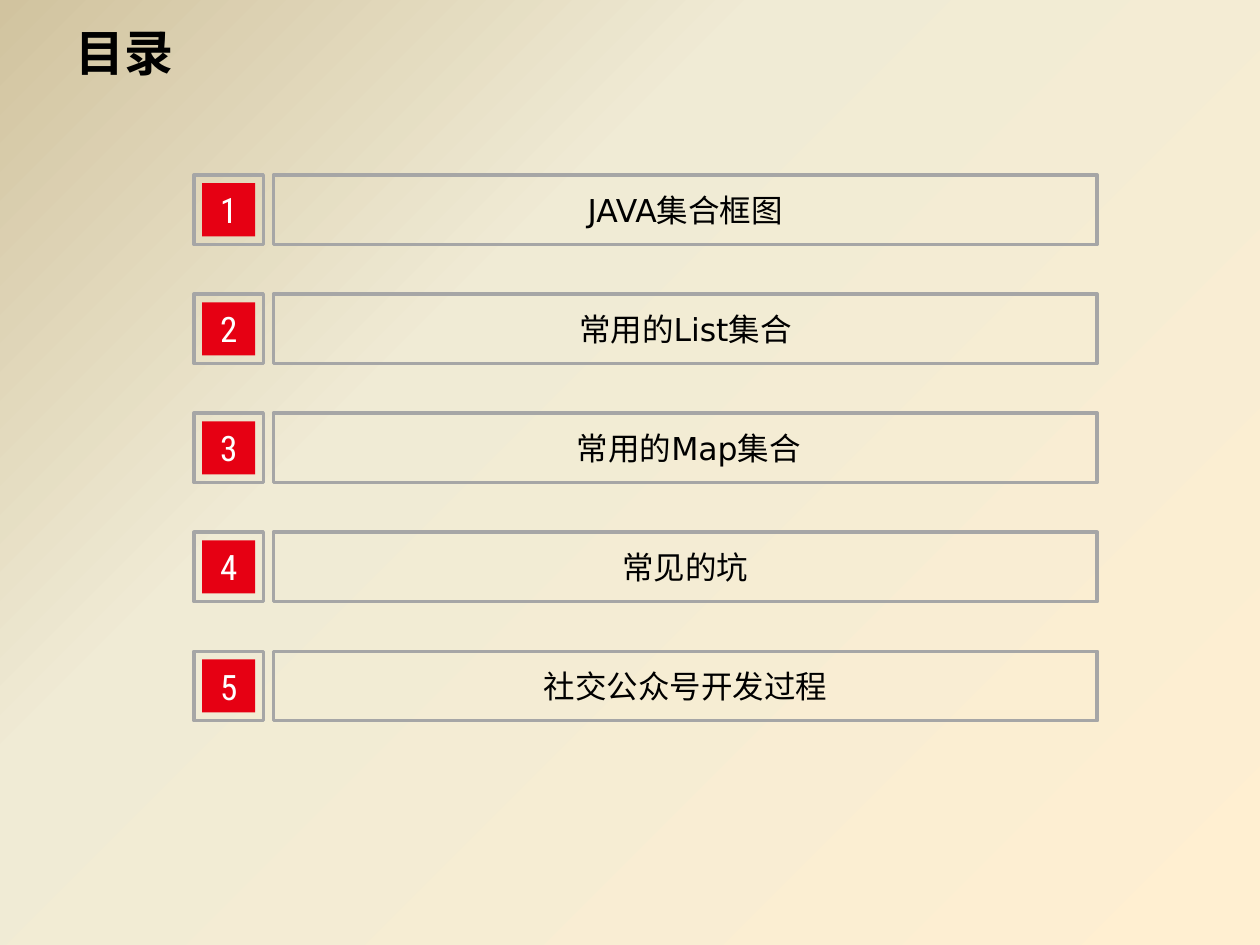
import pptx
import pptx.dml.color
import pptx.enum.shapes
import pptx.enum.text
import pptx.oxml
import pptx.oxml.ns
import pptx.util
from pptx.util import Cm

TITLE = "目录"
TOPICS = ["JAVA集合框图", "常用的List集合", " 常用的Map集合", "常见的坑", "社交公众号开发过程"]

COLORS = {"text": "000000", "number": "FFFFFF", "badge": "E60013", "frame": "A6A6A6"}
BACKGROUND_STOPS = [(0, "FFEFD1"), (65, "F0EBD5"), (100, "D1C39F")]
BACKGROUND_ANGLE = 225
TEXT_FONT, NUMBER_FONT = "DejaVu Sans", "Roboto Condensed"

FRAME_LEFT, FIRST_TOP, ROW_STEP = 3.91, 3.53, 2.4
FRAME_SIZE, BADGE_SIZE = 1.4, 1.07
TOPIC_LEFT, TOPIC_WIDTH = 5.51, 16.61


def rgb(name):
    return pptx.dml.color.RGBColor.from_string(COLORS[name])


def write(shape, text, *, size, color="text", font=TEXT_FONT, bold=False, align="CENTER"):
    frame = shape.text_frame
    frame.word_wrap = True
    frame.auto_size = pptx.enum.text.MSO_AUTO_SIZE.NONE
    frame.vertical_anchor = pptx.enum.text.MSO_ANCHOR.MIDDLE
    paragraph = frame.paragraphs[0]
    paragraph.alignment = pptx.enum.text.PP_ALIGN[align]
    run = paragraph.add_run()
    run.text = text
    run.font.size = pptx.util.Pt(size)
    run.font.name = font
    run.font.bold = bold
    run.font.color.rgb = rgb(color)


def add_box(shapes, left, top, width, height, fill=None, line=None):
    box = shapes.add_shape(pptx.enum.shapes.MSO_SHAPE.RECTANGLE,
                           Cm(left), Cm(top), Cm(width), Cm(height))
    box.shadow.inherit = False
    if fill:
        box.fill.solid()
        box.fill.fore_color.rgb = rgb(fill)
    else:
        box.fill.background()
    if line:
        box.line.color.rgb = rgb(line)
        box.line.width = pptx.util.Pt(2)
    else:
        box.line.fill.background()
    return box


def paint_background(slide):
    """Fill the background with a three-stop gradient, angle clockwise."""
    slide.background.fill.gradient()
    gradient = slide.element.find(".//" + pptx.oxml.ns.qn("a:gradFill"))
    for child in list(gradient):
        gradient.remove(child)
    stops = "".join(
        f'<a:gs pos="{position * 1000}"><a:srgbClr val="{color}"/></a:gs>'
        for position, color in BACKGROUND_STOPS)
    namespace = pptx.oxml.ns.nsdecls("a")
    gradient.append(pptx.oxml.parse_xml(f"<a:gsLst {namespace}>{stops}</a:gsLst>"))
    gradient.append(pptx.oxml.parse_xml(
        f'<a:lin {namespace} ang="{BACKGROUND_ANGLE * 60000}" scaled="0"/>'))


def add_topic(slide, number, topic):
    top = FIRST_TOP + (number - 1) * ROW_STEP
    inset = (FRAME_SIZE - BADGE_SIZE) / 2
    row = slide.shapes.add_group_shape().shapes
    add_box(row, FRAME_LEFT, top, FRAME_SIZE, FRAME_SIZE, line="frame")
    badge = add_box(row, FRAME_LEFT + inset, top + inset, BADGE_SIZE, BADGE_SIZE, fill="badge")
    write(badge, str(number), size=20, color="number", font=NUMBER_FONT)
    label = add_box(row, TOPIC_LEFT, top, TOPIC_WIDTH, FRAME_SIZE, line="frame")
    write(label, topic, size=18)


def main():
    deck = pptx.Presentation()
    deck.slide_width, deck.slide_height = Cm(25.4), Cm(19.05)
    slide = deck.slides.add_slide(deck.slide_layouts[5])
    paint_background(slide)

    title = slide.shapes.title
    title.left, title.top, title.width, title.height = Cm(1.27), Cm(0.36), Cm(19.02), Cm(1.37)
    write(title, TITLE, size=28, bold=True, align="LEFT")

    for number, topic in enumerate(TOPICS, start=1):
        add_topic(slide, number, topic)
    deck.save("out.pptx")


if __name__ == "__main__":
    main()
